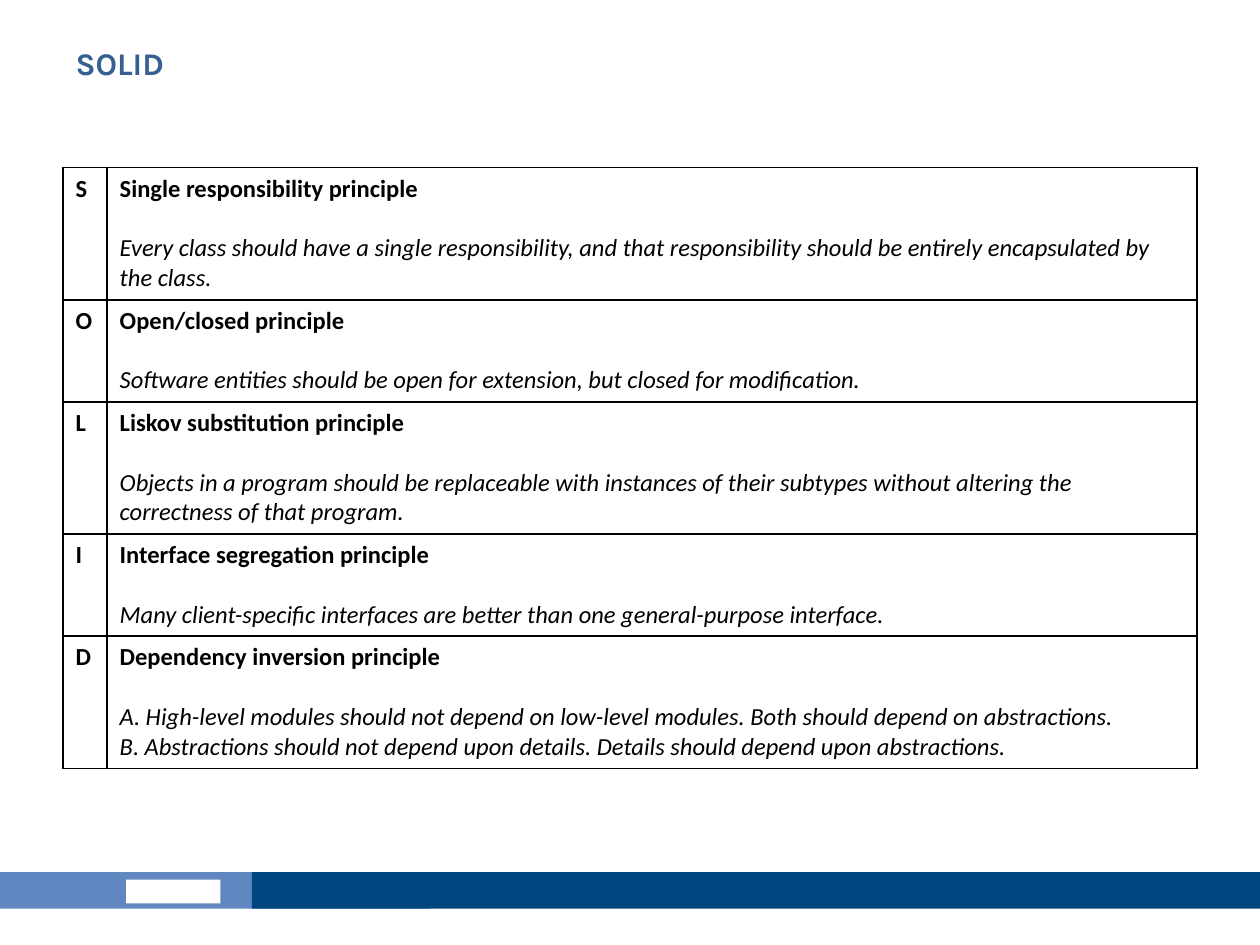
from dataclasses import dataclass

from lxml.etree import SubElement
from pptx import Presentation
from pptx.dml.color import RGBColor
from pptx.enum.shapes import MSO_SHAPE
from pptx.enum.text import MSO_ANCHOR, PP_ALIGN
from pptx.oxml.ns import qn
from pptx.util import Inches, Pt

COLUMN, ROW = Inches(0.5), Inches(0.3)

PRINCIPLES = [
    ("S", "Single responsibility principle", 2,
     ["Every class should have a single responsibility, and that responsibility "
      "should be entirely encapsulated by the class."]),
    ("O", "Open/closed principle", 1,
     ["Software entities should be open for extension, but closed for modification."]),
    ("L", "Liskov substitution principle", 2,
     ["Objects in a program should be replaceable with instances of their subtypes "
      "without altering the correctness of that program."]),
    ("I", "Interface segregation principle", 1,
     ["Many client-specific interfaces are better than one general-purpose interface."]),
    ("D", "Dependency inversion principle", 2,
     ["A. High-level modules should not depend on low-level modules. "
      "Both should depend on abstractions.",
      "B. Abstractions should not depend upon details. "
      "Details should depend upon abstractions."]),
]


@dataclass(frozen=True)
class Theme:
    heading: str = "376092"
    ink: str = "000000"
    light_band: str = "6087BF"
    dark_band: str = "00467E"
    badge: str = "FFFFFF"
    heading_font: str = "Karla"
    body_font: str = "Calibri"
    heading_size: int = 18
    body_size: int = 14
    line_height: float = 0.24
    cell_padding: float = 0.09
    border: int = 1


def write(paragraph, text, *, font, size, color, bold=False, italic=False, before=0):
    run = paragraph.add_run()
    run.text = text
    run.font.name = font
    run.font.size = Pt(size)
    run.font.bold = bold
    run.font.italic = italic
    run.font.color.rgb = RGBColor.from_string(color)
    paragraph.alignment = PP_ALIGN.LEFT
    paragraph.space_before = Pt(before)


def place(column, row, columns, rows):
    return [round(n) for n in (column * COLUMN, row * ROW, columns * COLUMN, rows * ROW)]


class Deck:
    """Draws themed elements on the current slide."""

    def __init__(self, theme):
        self.theme = theme
        self.presentation = Presentation()
        self.presentation.slide_width = 20 * COLUMN
        self.presentation.slide_height = 25 * ROW
        self.slide = None

    def start_slide(self):
        self.slide = self.presentation.slides.add_slide(self.presentation.slide_layouts[5])

    def title(self, text, *area):
        heading = self.slide.shapes.title
        heading.left, heading.top, heading.width, heading.height = place(*area)
        heading.text_frame.vertical_anchor = MSO_ANCHOR.TOP
        write(heading.text_frame.paragraphs[0], text, font=self.theme.heading_font,
              size=self.theme.heading_size, color=self.theme.heading, bold=True)

    def block(self, color, *area):
        band = self.slide.shapes.add_shape(MSO_SHAPE.RECTANGLE, *place(*area))
        band.shadow.inherit = False
        band.fill.solid()
        band.fill.fore_color.rgb = RGBColor.from_string(color)
        band.line.fill.background()

    def outline(self, cell):
        cell.fill.background()
        properties = cell._tc.get_or_add_tcPr()
        for position, side in enumerate(("a:lnL", "a:lnR", "a:lnT", "a:lnB")):
            edge = properties.makeelement(qn(side), {"w": str(Pt(self.theme.border))})
            stroke = SubElement(edge, qn("a:solidFill"))
            SubElement(stroke, qn("a:srgbClr"), val=self.theme.ink)
            properties.insert(position, edge)

    def principles(self, entries, letter_width, *area):
        left, top, width, height = place(*area)
        grid = self.slide.shapes.add_table(len(entries), 2, left, top, width, height).table
        grid.first_row = grid.horz_banding = False
        grid.columns[0].width = Inches(letter_width)
        grid.columns[1].width = width - Inches(letter_width)
        style = dict(font=self.theme.body_font, size=self.theme.body_size,
                     color=self.theme.ink)
        for index, (letter, name, detail_lines, details) in enumerate(entries):
            grid.rows[index].height = Inches(
                (detail_lines + 2) * self.theme.line_height + self.theme.cell_padding)
            initial, meaning = grid.cell(index, 0), grid.cell(index, 1)
            for cell, label in ((initial, letter), (meaning, name)):
                self.outline(cell)
                write(cell.text_frame.paragraphs[0], label, bold=True, **style)
            for order, detail in enumerate(details):
                write(meaning.text_frame.add_paragraph(), detail, italic=True,
                      before=0 if order else 17, **style)

    def save(self):
        self.presentation.save("out.pptx")


def main():
    theme = Theme()
    deck = Deck(theme)
    deck.start_slide()
    deck.block(theme.light_band, 0, 23.07, 6.82, 0.97)
    deck.block(theme.badge, 2, 23.27, 1.5, 0.63)
    deck.block(theme.dark_band, 4, 23.07, 16, 0.97)
    deck.title("SOLID", 1, 1, 18, 2.6)
    deck.principles(PRINCIPLES, 0.35, 1, 4.43, 18, 15.9)
    deck.save()


if __name__ == "__main__":
    main()
